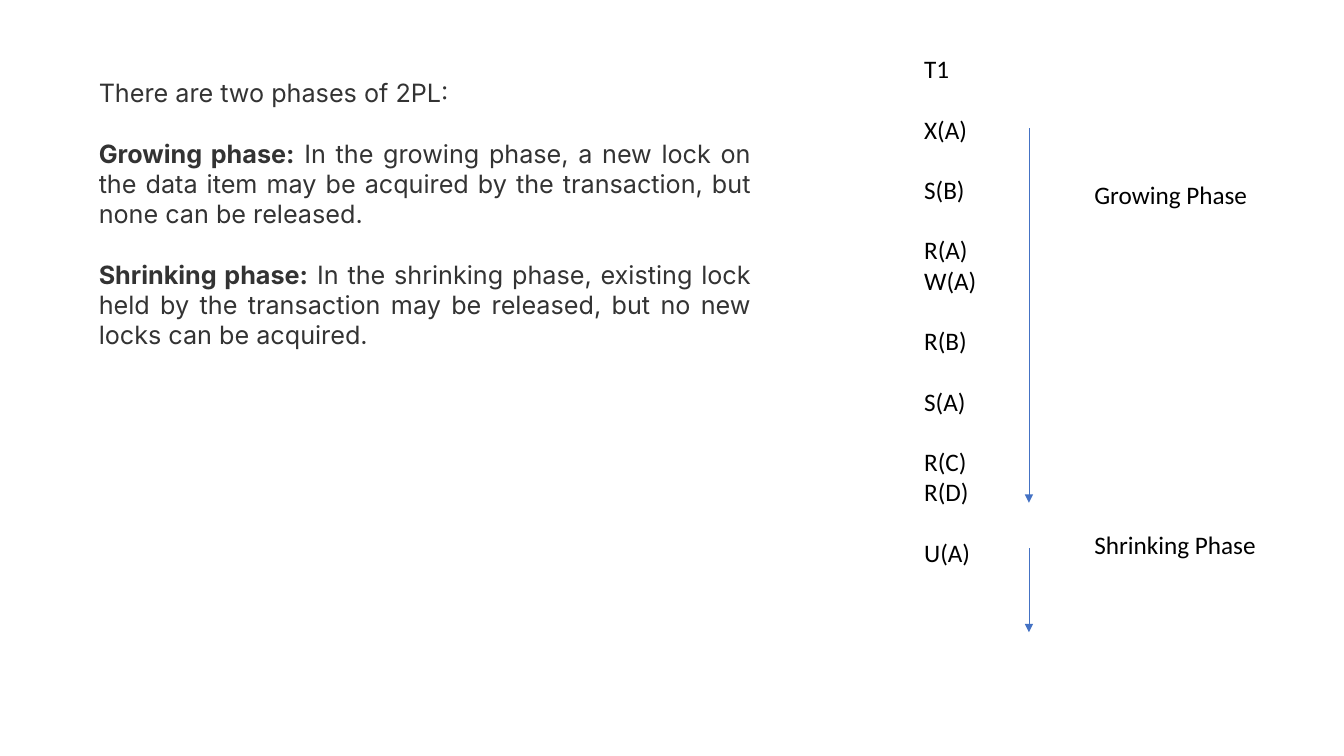
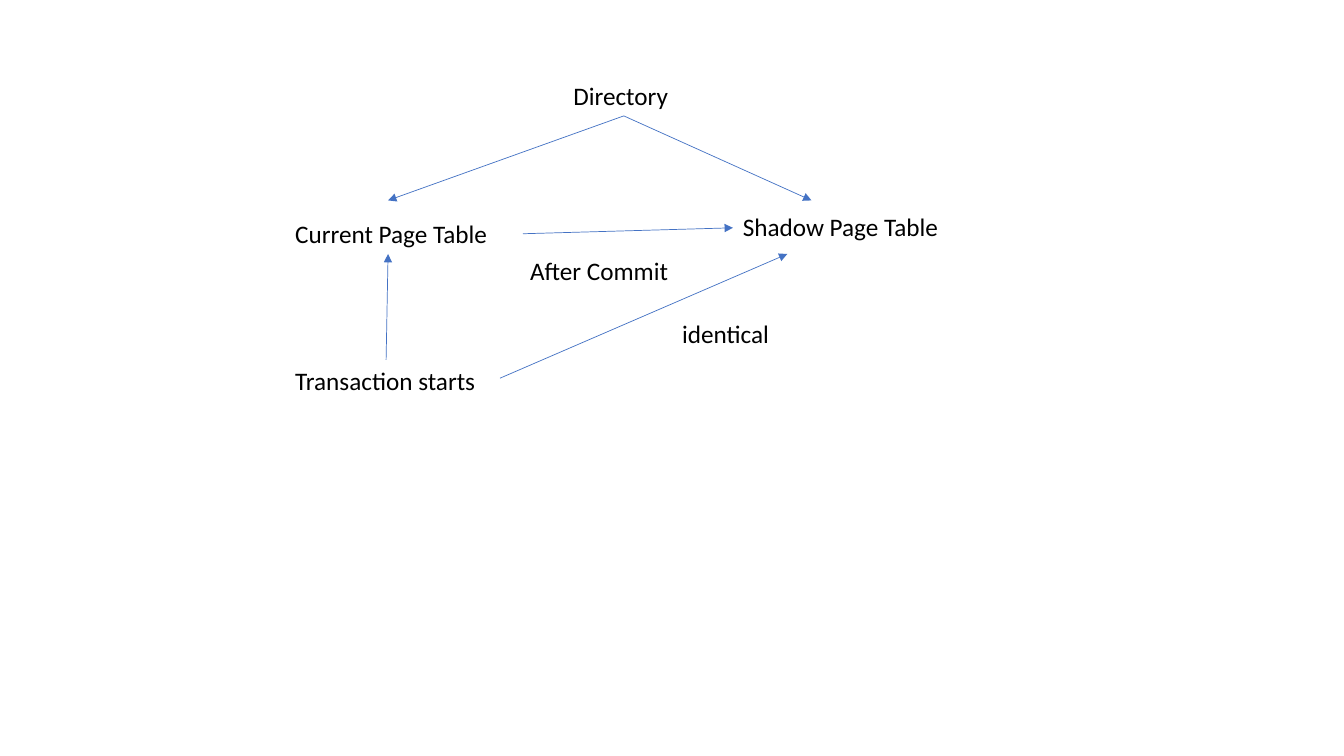
from lxml.etree import SubElement as Sub
from pptx import Presentation
from pptx.dml.color import RGBColor as Rgb
from pptx.enum.shapes import MSO_CONNECTOR as Conn
from pptx.enum.text import MSO_AUTO_SIZE as Fit, PP_ALIGN as Align
from pptx.oxml.ns import qn
from pptx.util import Cm, Pt

HUES = {"ink": "000000", "body": "333333", "line": "4472C4"}
LABEL = {"name": "Calibri", "size": Pt(18)}
BODY = {"name": "Inter", "size": Pt(18)}
GAP = Pt(21.6)
ROW = 1.02


def write(slide, spot, groups, form=LABEL, hue="ink", wrap=False, align=Align.LEFT):
    box = slide.shapes.add_textbox(*map(Cm, spot))
    frame = box.text_frame
    frame.word_wrap = wrap
    frame.auto_size = Fit.SHAPE_TO_FIT_TEXT
    para = None
    for group in groups:
        for num, line in enumerate(group):
            first = para is None
            para = frame.paragraphs[0] if first else frame.add_paragraph()
            para.alignment = align
            para.space_before = GAP if num == 0 and not first else Pt(0)
            lead, _, rest = line.rpartition("|")
            for text, bold in ((lead, True), (rest, False)):
                if text:
                    run = para.add_run()
                    run.text = text
                    for key, value in {**form, "bold": bold}.items():
                        setattr(run.font, key, value)
                    run.font.color.rgb = Rgb.from_string(HUES[hue])


def arrow(slide, ends):
    link = slide.shapes.add_connector(Conn.STRAIGHT, *map(Cm, ends))
    link.line.width = Pt(0.5)
    link.line.color.rgb = Rgb.from_string(HUES["line"])
    props = link._element.spPr
    Sub(props.find(qn("a:ln")), qn("a:tailEnd"), type="triangle")
    Sub(props, qn("a:effectLst"))


deck = Presentation()
deck.slide_width = Cm(33.87)
deck.slide_height = Cm(19.05)
blank = deck.slide_layouts[6]

phases = deck.slides.add_slide(blank)
steps = [["T1"], ["X(A)"], ["S(B)"], ["R(A)", "W(A)"], ["R(B)"], ["S(A)"], ["R(C)", "R(D)"], ["U(A)"]]
write(phases, (23.04, 1.22, 1.85, 13.34), steps)
for top, end, label, high, wide in (
    (3.23, 12.67, "Growing Phase", 4.39, 4.39),
    (13.82, 15.93, "Shrinking Phase", 13.21, 4.62),
):
    arrow(phases, (25.93, top, 25.93, end))
    write(phases, (27.33, high, wide, ROW), [[label]])

rules = [
    ["There are two phases of 2PL:"],
    ["Growing phase:| In the growing phase, a new lock on the data item may be acquired by the transaction, but none can be released."],
    ["Shrinking phase:| In the shrinking phase, existing lock held by the transaction may be released, but no new locks can be acquired."],
]
write(phases, (2.24, 1.83, 16.94, 7.19), rules, BODY, "body", True, Align.JUSTIFY)

paging = deck.slides.add_slide(blank)
for label, left, top, wide in (
    ("Directory", 14.2, 1.9, 3.07),
    ("Current Page Table", 7.19, 5.38, 5.41),
    ("Shadow Page Table", 18.47, 5.21, 5.49),
    ("Transaction starts", 7.19, 9.07, 5.11),
    ("identical", 16.94, 7.9, 2.74),
    ("After Commit", 13.11, 6.3, 4.04),
):
    write(paging, (left, top, wide, ROW), [[label]])

for ends in (
    (15.72, 2.92, 9.78, 5.05),
    (15.72, 2.92, 20.45, 5.05),
    (9.73, 9.07, 9.78, 6.4),
    (12.6, 9.53, 19.84, 6.4),
    (13.18, 5.89, 18.47, 5.74),
):
    arrow(paging, ends)

deck.save("out.pptx")
